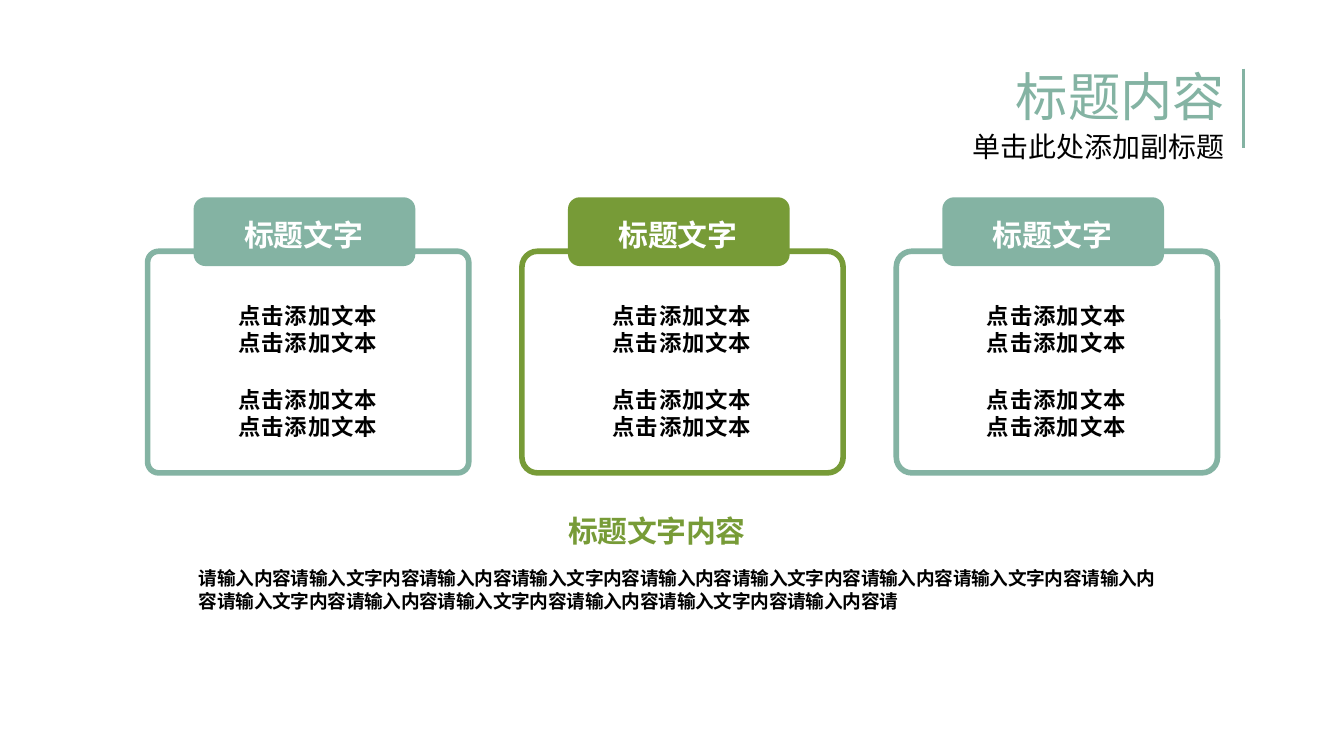
from dataclasses import dataclass

from lxml.etree import SubElement
from pptx import Presentation
from pptx.dml.color import RGBColor
from pptx.enum.shapes import MSO_CONNECTOR, MSO_SHAPE
from pptx.enum.text import MSO_ANCHOR, MSO_AUTO_SIZE, PP_ALIGN
from pptx.oxml.ns import qn
from pptx.util import Cm, Pt


@dataclass(frozen=True)
class Theme:
    font: str = "Noto Sans CJK SC"
    sage: RGBColor = RGBColor(0x84, 0xB3, 0xA3)
    leaf: RGBColor = RGBColor(0x77, 0x9B, 0x37)
    white: RGBColor = RGBColor(0xFF, 0xFF, 0xFF)
    black: RGBColor = RGBColor(0, 0, 0)
    title: int = 28
    sub: int = 15
    head: int = 16
    item: int = 12
    note: int = 10


THEME = Theme()


def place(shape, x, y, w, h):
    shape.left, shape.top, shape.width, shape.height = map(Cm, (x, y, w, h))


def write(shape, text, size, color=THEME.black, bold=True,
          align=PP_ALIGN.LEFT, anchor=MSO_ANCHOR.TOP, space=0, lead=1.22):
    frame = shape.text_frame
    frame.text = text
    frame.word_wrap = True
    frame.auto_size = MSO_AUTO_SIZE.NONE
    frame.vertical_anchor = anchor
    for para in frame.paragraphs:
        para.alignment = align
        para.line_spacing = Pt(size * lead)
        para.space_before = Pt(0)
        for run in para.runs:
            font = run.font
            font.size, font.bold, font.name = Pt(size), bold, THEME.font
            font.color.rgb = color
            props = run._r.get_or_add_rPr()
            props.set("spc", str(int(space * 100)))
            SubElement(props, qn("a:ea"), typeface=THEME.font)


def add_text(slide, box, text, size, **style):
    shape = slide.shapes.add_textbox(*map(Cm, box))
    write(shape, text, size, **style)


def add_round(slide, box, curve, fill=None, line=None):
    shape = slide.shapes.add_shape(MSO_SHAPE.ROUNDED_RECTANGLE, *map(Cm, box))
    shape.shadow.inherit = False
    shape.adjustments[0] = curve
    if fill is None:
        shape.fill.background()
    else:
        shape.fill.solid()
        shape.fill.fore_color.rgb = fill
    if line is None:
        shape.line.fill.background()
    else:
        shape.line.color.rgb = line
        shape.line.width = Pt(3)


def add_header(slide, box):
    x, y, w, h = box
    title, sub = slide.shapes.title, slide.placeholders[1]
    style = dict(bold=False, align=PP_ALIGN.RIGHT, lead=1.15)
    place(title, x, y, w - 0.1, 1.27)
    write(title, "标题内容", THEME.title, color=THEME.sage, **style)
    place(sub, x, y + 1.2, w - 0.1, 1.02)
    write(sub, "单击此处添加副标题", THEME.sub, **style)
    rule = slide.shapes.add_connector(
        MSO_CONNECTOR.STRAIGHT, Cm(x + w), Cm(y + 0.16), Cm(x + w), Cm(y + 1.65))
    rule.line.color.rgb = THEME.sage
    rule.line.width = Pt(1.5)
    SubElement(rule._element.spPr, qn("a:effectLst"))


def add_card(slide, box, color, curve):
    x, y, w, h = box
    add_round(slide, (x, y + 1.02, w, h - 1.02), curve, line=color)
    add_round(slide, (x + 0.87, y, 4.19, 1.3), 0.17, fill=color)
    add_text(slide, (x + 1.12, y + 0.18, 3.66, 1.04), "标题文字", THEME.head,
             color=THEME.white, align=PP_ALIGN.CENTER, anchor=MSO_ANCHOR.MIDDLE)
    for drop in (1.85, 3.43):
        add_text(slide, (x + 0.08, y + drop, w - 0.18, 1.27),
                 "\n".join(["点击添加文本"] * 2), THEME.item,
                 align=PP_ALIGN.CENTER, space=0.5)


def add_cards(slide, box):
    x, y, w, h = box
    wide = 6.07
    cards = ((THEME.sage, 0.05), (THEME.leaf, 0.07), (THEME.sage, 0.07))
    step = (w - wide) / (len(cards) - 1)
    for i, (color, curve) in enumerate(cards):
        add_card(slide, (x + i * step, y, wide, h), color, curve)


def add_footer(slide, box):
    x, y, w, h = box
    add_text(slide, (x + 6.98, y, 5.72, 0.94), "标题文字内容", THEME.head,
             color=THEME.leaf, space=-0.1)
    text = "请输入内容请输入文字内容" * 7 + "请输入内容请"
    add_text(slide, (x, y + 1.04, w, h - 1.04), text, THEME.note, space=-0.1)


def main():
    deck = Presentation()
    deck.slide_width, deck.slide_height = Cm(25.4), Cm(14.29)
    slide = deck.slides.add_slide(deck.slide_layouts[0])
    add_header(slide, (13.69, 1.14, 9.81, 2.22))
    add_cards(slide, (2.79, 3.73, 20.22, 5.21))
    add_footer(slide, (3.51, 9.55, 18.7, 2.16))
    deck.save("out.pptx")


if __name__ == "__main__":
    main()
